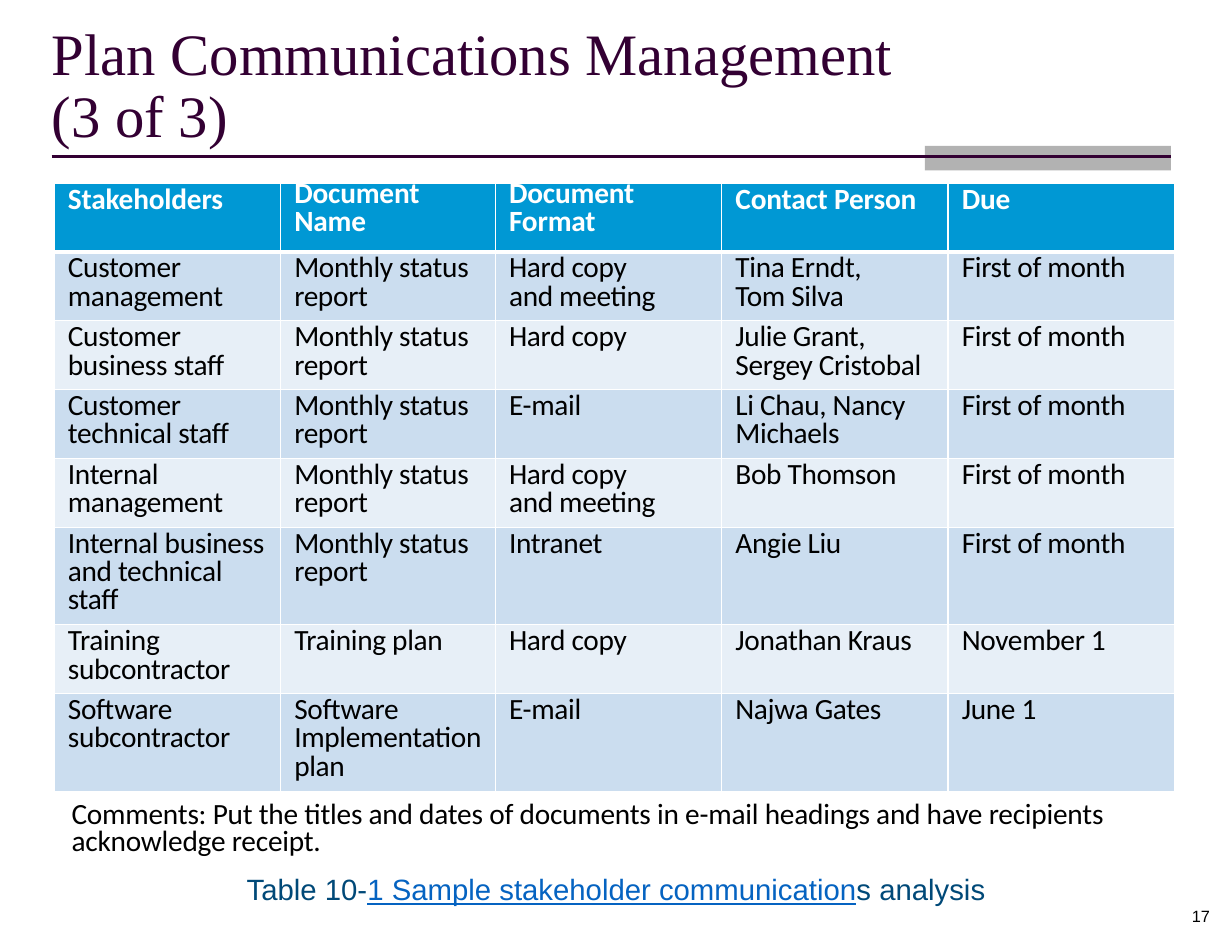
from dataclasses import dataclass

from lxml import etree
from pptx import Presentation
from pptx.dml.color import RGBColor
from pptx.enum.shapes import MSO_CONNECTOR, MSO_SHAPE
from pptx.enum.text import MSO_ANCHOR, MSO_AUTO_SIZE, PP_ALIGN
from pptx.oxml.ns import qn
from pptx.util import Cm, Pt

LEFT = PP_ALIGN.LEFT
CENTER = PP_ALIGN.CENTER
TOP = MSO_ANCHOR.TOP
NO_FIT = MSO_AUTO_SIZE.NONE
RECTANGLE = MSO_SHAPE.RECTANGLE
STRAIGHT = MSO_CONNECTOR.STRAIGHT
TITLE_ONLY = 5


@dataclass(frozen=True)
class Theme:
    plum: str = "330033"
    gray: str = "B2B2B2"
    header: str = "0098D4"
    bands: tuple = ("CBDDEF", "E7EFF7")
    white: str = "FFFFFF"
    black: str = "000000"
    navy: str = "004978"
    link: str = "0563C1"
    title_font: str = "Times New Roman"
    table_font: str = "Calibri"
    plain_font: str = "Arial"
    title_size: int = 36
    body_size: int = 18
    number_size: int = 10


class SlideBuilder:
    def __init__(self, slide, theme):
        self.slide = slide
        self.theme = theme

    def style(self, para, font, size, color, bold=False, tracking=0, leading=None, align=LEFT):
        para.alignment = align
        if leading:
            para.line_spacing = Pt(leading)
        for span in para.runs:
            span.font.name = font
            span.font.size = Pt(size)
            span.font.bold = bold
            span.font.color.rgb = RGBColor.from_string(color)
            span._r.get_or_add_rPr().set("spc", str(tracking))

    def frame(self, text_frame):
        text_frame.margin_left = text_frame.margin_right = 0
        text_frame.margin_top = text_frame.margin_bottom = 0
        text_frame.vertical_anchor = TOP
        text_frame.auto_size = NO_FIT
        text_frame.word_wrap = True

    def title(self, text, left, top, width, height):
        box = self.slide.shapes.title
        box.left, box.top, box.width, box.height = Cm(left), Cm(top), Cm(width), Cm(height)
        self.frame(box.text_frame)
        box.text_frame.text = text
        self.style(box.text_frame.paragraphs[0], self.theme.title_font,
                   self.theme.title_size, self.theme.plum, leading=38)

    def text(self, text, left, top, width, height):
        box = self.slide.shapes.add_textbox(Cm(left), Cm(top), Cm(width), Cm(height))
        self.frame(box.text_frame)
        box.text_frame.text = text
        return box.text_frame

    def bar(self, left, top, width, height):
        shape = self.slide.shapes.add_shape(RECTANGLE, Cm(left), Cm(top), Cm(width), Cm(height))
        shape.shadow.inherit = False
        shape.fill.solid()
        shape.fill.fore_color.rgb = RGBColor.from_string(self.theme.gray)
        shape.line.fill.background()

    def rule(self, left, right, top):
        line = self.slide.shapes.add_connector(STRAIGHT, Cm(left), Cm(top), Cm(right), Cm(top))
        line.line.color.rgb = RGBColor.from_string(self.theme.plum)
        line.line.width = Pt(1.75)
        etree.SubElement(line._element.spPr, qn("a:effectLst"))

    def borders(self, cell, top, bottom):
        properties = cell._tc.get_or_add_tcPr()
        for side, width in (("L", 1), ("R", 1), ("T", top), ("B", bottom)):
            edge = etree.SubElement(properties, qn(f"a:ln{side}"), w=str(Pt(width)))
            fill = etree.SubElement(edge, qn("a:solidFill"))
            etree.SubElement(fill, qn("a:srgbClr"), val=self.theme.white)

    def cell(self, cell, text, row):
        is_header = row == 0
        two_line_header = is_header and "\n" in text
        self.borders(cell, 3 if row == 1 else 1, 3 if is_header else 1)
        cell.fill.solid()
        color = self.theme.header if is_header else self.theme.bands[(row - 1) % 2]
        cell.fill.fore_color.rgb = RGBColor.from_string(color)
        cell.margin_left = Cm(0.3)
        cell.margin_right = cell.margin_bottom = 0
        cell.margin_top = Cm(0 if two_line_header else 0.12)
        cell.vertical_anchor = TOP
        cell.text_frame.text = text
        for para in cell.text_frame.paragraphs:
            self.style(para, self.theme.table_font, self.theme.body_size,
                       self.theme.white if is_header else self.theme.black,
                       bold=is_header, tracking=-10 if is_header else -20, leading=17.4)

    def table(self, rows, left, top, widths, heights):
        shape = self.slide.shapes.add_table(len(rows), len(widths), Cm(left), Cm(top),
                                            Cm(sum(widths)), Cm(sum(heights)))
        table = shape.table
        for column, width in zip(table.columns, widths):
            column.width = Cm(width)
        for row, height in zip(table.rows, heights):
            row.height = Cm(height)
        for row, values in enumerate(rows):
            for column, value in enumerate(values):
                self.cell(table.cell(row, column), value, row)


MONTHLY = "Monthly status report"
FIRST = "First of month"
ROWS = [
    ("Stakeholders", "Document\nName", "Document\nFormat", "Contact Person", "Due"),
    ("Customer\nmanagement", MONTHLY, "Hard copy\nand meeting", "Tina Erndt,\nTom Silva", FIRST),
    ("Customer\nbusiness staff", MONTHLY, "Hard copy", "Julie Grant,\nSergey Cristobal", FIRST),
    ("Customer\ntechnical staff", MONTHLY, "E-mail", "Li Chau, Nancy Michaels", FIRST),
    ("Internal\nmanagement", MONTHLY, "Hard copy\nand meeting", "Bob Thomson", FIRST),
    ("Internal business and technical\nstaff", MONTHLY, "Intranet", "Angie Liu", FIRST),
    ("Training\nsubcontractor", "Training plan", "Hard copy", "Jonathan Kraus", "November 1"),
    ("Software\nsubcontractor", "Software\nImplementation plan", "E-mail", "Najwa Gates", "June 1"),
]
COMMENTS = ("Comments: Put the titles and dates of documents in e-mail headings "
            "and have recipients acknowledge receipt.")
CAPTION = [("Table 10-", False), ("1 Sample stakeholder communication", True),
           ("s analysis", False)]


def main():
    theme = Theme()
    deck = Presentation()
    deck.slide_width, deck.slide_height = Cm(26.67), Cm(20.32)
    page = SlideBuilder(deck.slides.add_slide(deck.slide_layouts[TITLE_ONLY]), theme)

    page.table(ROWS, 1.17, 3.96, [4.9, 4.65, 4.9, 4.9, 4.9], [1.49] * 5 + [2.11, 1.49, 2.13])

    notes = page.text(COMMENTS, 1.55, 17.36, 23.57, 2.3)
    page.style(notes.paragraphs[0], theme.table_font, theme.body_size, theme.black,
               tracking=-15, leading=17)
    caption = notes.add_paragraph()
    caption.space_before = Pt(13)
    for text, _ in CAPTION:
        caption.add_run().text = text
    page.style(caption, theme.plain_font, theme.body_size, theme.navy, leading=17, align=CENTER)
    for span, (_, is_link) in zip(caption.runs, CAPTION):
        if is_link:
            span.font.underline = True
            span.font.color.rgb = RGBColor.from_string(theme.link)

    page.title("Plan Communications Management (3 of 3)", 1.12, 0.54, 18.8, 2.7)
    page.bar(20.02, 3.16, 5.33, 0.53)
    page.rule(1.12, 25.35, 3.38)

    number = page.text("17", 25.8, 19.62, 0.5, 0.43)
    page.style(number.paragraphs[0], theme.plain_font, theme.number_size, theme.black)
    deck.save("out.pptx")


if __name__ == "__main__":
    main()
